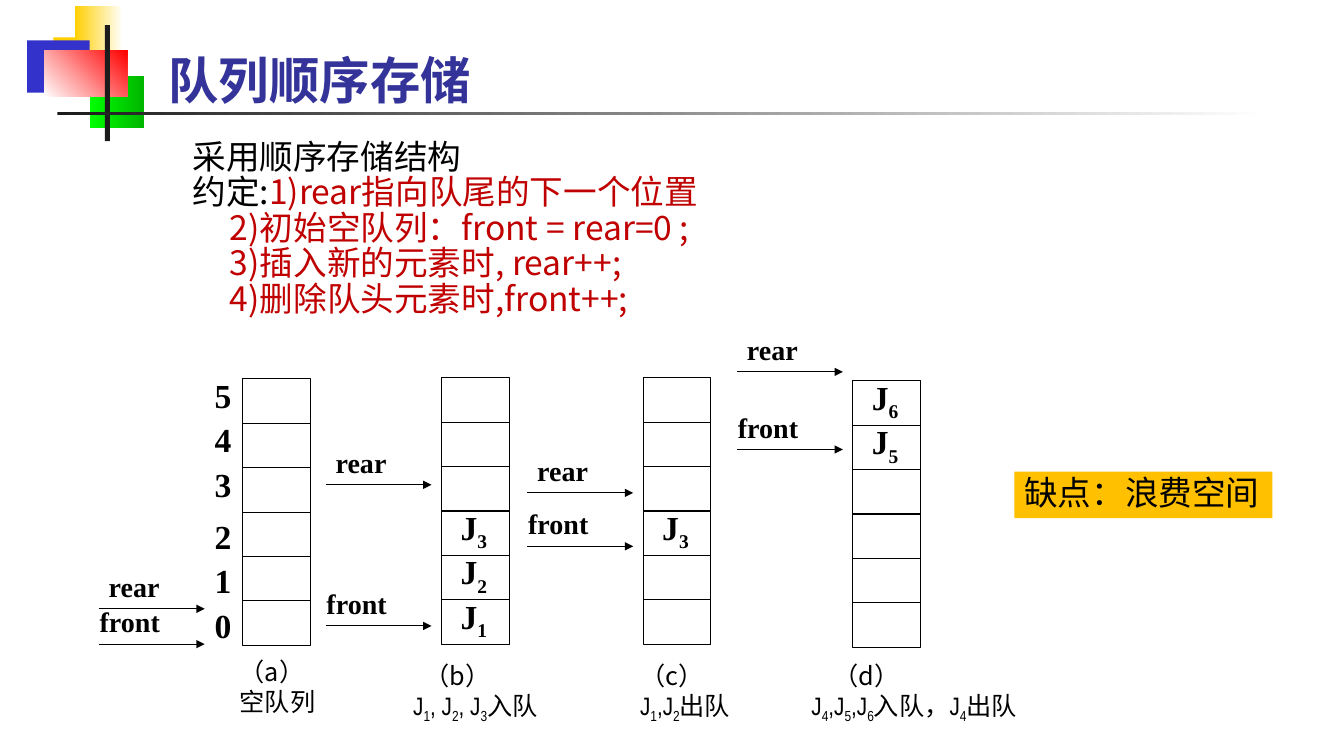
from lxml.etree import SubElement
from pptx import Presentation
from pptx.dml.color import RGBColor
from pptx.enum.shapes import MSO_CONNECTOR as Connector, MSO_SHAPE as Shape
from pptx.enum.text import MSO_ANCHOR as Anchor, MSO_AUTO_SIZE as AutoSize, PP_ALIGN as Align
from pptx.oxml.ns import qn
from pptx.util import Inches, Pt

COLORS = {
    "black": "000000", "white": "FFFFFF", "ink": "1C1C1C", "title": "333399",
    "rule": "C00000", "note": "FFC000", "yellow": "FFCF01", "blue": "3333CC",
    "lime": "00FF00", "green": "00B600", "red": "FF0000",
}
COLORS = {name: RGBColor.from_string(value) for name, value in COLORS.items()}
CJK, SERIF, NARROW = "Noto Sans CJK SC", "Times New Roman", "Arial Narrow"


def write(paragraph, text, size=24, font=CJK, color="black", bold=False, indent=0):
    properties = paragraph._p.get_or_add_pPr()
    properties.set("marL", str(Inches(indent)))
    properties.set("indent", "0")
    if properties.find(qn("a:buNone")) is None:
        SubElement(properties, qn("a:buNone"))
    first, *rest = text.split("_")
    pieces = [(first, False)]
    for part in rest:
        pieces += [(part[0], True), (part[1:], False)]
    for piece, subscript in pieces:
        if not piece:
            continue
        run = paragraph.add_run()
        run.text = piece
        run.font.size = Pt(size)
        run.font.name = font
        run.font.bold = bold
        run.font.color.rgb = COLORS[color]
        run_properties = run._r.get_or_add_rPr()
        SubElement(run_properties, qn("a:ea"), typeface=CJK)
        if subscript:
            run_properties.set("baseline", "-25000")


def add_frame(left, top, width, height):
    box = slide.shapes.add_textbox(Inches(left), Inches(top), Inches(width), Inches(height))
    box.text_frame.word_wrap = True
    return box.text_frame


presentation = Presentation()
presentation.slide_width = Inches(13.33)
presentation.slide_height = Inches(7.5)
slide = presentation.slides.add_slide(presentation.slide_layouts[1])

decorations = [
    (0.53, 0.37, 0.64, 0.52, "yellow", "yellow", 0),
    (0.74, 0.06, 0.48, 0.52, "yellow", "white", 0),
    (0.27, 0.4, 0.62, 0.52, "blue", "blue", 0),
    (0.89, 0.75, 0.54, 0.52, "lime", "green", 0),
    (0.44, 0.5, 0.82, 0.46, "white", "red", 45),
    (1.04, 0.25, 0.05, 1.15, "ink", "ink", 0),
    (0.57, 1.11, 12, 0.03, "ink", "white", 0),
]
for left, top, width, height, start, end, angle in decorations:
    block = slide.shapes.add_shape(
        Shape.RECTANGLE, Inches(left), Inches(top), Inches(width), Inches(height))
    block.shadow.inherit = False
    block.line.fill.background()
    if start == end:
        block.fill.solid()
        block.fill.fore_color.rgb = COLORS[start]
    else:
        block.fill.gradient()
        block.fill.gradient_angle = angle
        for stop, color in zip(block.fill.gradient_stops, (start, end)):
            stop.color.rgb = COLORS[color]

title, body = slide.placeholders
title.left, title.top, title.width, title.height = map(Inches, (1.57, 0.43, 6.65, 0.71))
title.text_frame.auto_size = AutoSize.NONE
title.text_frame.vertical_anchor = Anchor.MIDDLE
heading = title.text_frame.paragraphs[0]
heading.alignment = Align.LEFT
write(heading, "队列顺序存储", size=36, font=NARROW, color="title", bold=True)

body.left, body.top, body.width, body.height = map(Inches, (1.81, 1.35, 8.5, 2.1))
body.text_frame.auto_size = AutoSize.NONE
body.text_frame.vertical_anchor = Anchor.TOP
rules = [
    ("采用顺序存储结构", "", 0),
    ("约定:", "1)rear指向队尾的下一个位置", 0),
    ("", "2)初始空队列：front = rear=0 ;", 0.37),
    ("", "3)插入新的元素时, rear++;", 0.37),
    ("", "4)删除队头元素时,front++;", 0.37),
]
for index, (lead, rule, indent) in enumerate(rules):
    paragraph = body.text_frame.add_paragraph() if index else body.text_frame.paragraphs[0]
    paragraph.alignment = Align.JUSTIFY
    paragraph.line_spacing = 0.88
    paragraph.space_before = Pt(0)
    write(paragraph, lead, indent=indent)
    write(paragraph, rule, color="rule", indent=indent)

CELL_WIDTH, CELL_HEIGHT, SLOTS = 0.67, 0.44, 6
queues = [
    {"left": 2.41, "top": 3.76, "gap": 1.43, "rear": 6.04, "front": 6.39, "items": {},
     "caption": (2.28, 6.46, 0.96, 0), "lines": ("（a）", "空队列"), "font": CJK},
    {"left": 4.38, "top": 3.75, "gap": 1.15, "rear": 4.81, "front": 6.21,
     "items": {3: "J_3", 4: "J_2", 5: "J_1"},
     "caption": (4, 6.5, 1.48, 0.11), "lines": ("（b）", "J_1, J_2, J_3入队"), "font": NARROW},
    {"left": 6.38, "top": 3.75, "gap": 1.15, "rear": 4.89, "front": 5.42, "items": {3: "J_3"},
     "caption": (6.25, 6.5, 1.13, 0), "lines": ("（c）", "J_1,J_2出队"), "font": NARROW},
    {"left": 8.46, "top": 3.78, "gap": 1.15, "rear": 3.69, "front": 4.46,
     "items": {0: "J_6", 1: "J_5"},
     "caption": (7.95, 6.5, 2.36, 0.22), "lines": ("（d）", "J_4,J_5,J_6入队，J_4出队"),
     "font": NARROW},
]
for queue in queues:
    for slot in range(SLOTS):
        cell_top = queue["top"] + slot * CELL_HEIGHT
        cell = slide.shapes.add_shape(
            Shape.RECTANGLE, Inches(queue["left"]), Inches(cell_top),
            Inches(CELL_WIDTH), Inches(CELL_HEIGHT))
        cell.shadow.inherit = False
        cell.fill.background()
        cell.line.color.rgb = COLORS["black"]
        cell.line.width = Pt(0.75)
        if slot in queue["items"]:
            frame = add_frame(queue["left"] + 0.09, cell_top - 0.09, 0.54, 0.51)
            write(frame.paragraphs[0], queue["items"][slot], font=SERIF, bold=True)

    arrow_left = queue["left"] - queue["gap"]
    for pointer, shift, width in (("rear", 0, 1.05), ("front", -0.09, 1.33)):
        level = queue[pointer]
        arrow = slide.shapes.add_connector(
            Connector.STRAIGHT, Inches(arrow_left), Inches(level),
            Inches(arrow_left + 1.05), Inches(level))
        arrow.line.color.rgb = COLORS["black"]
        arrow.line.width = Pt(0.75)
        SubElement(arrow.line._get_or_add_ln(), qn("a:tailEnd"), type="triangle")
        SubElement(arrow._element.spPr, qn("a:effectLst"))
        frame = add_frame(arrow_left + shift, level - 0.44, width, 0.43)
        write(frame.paragraphs[0], pointer, size=20, font=SERIF, bold=True)

    left, top, width, indent = queue["caption"]
    caption = add_frame(left, top, width, 0.71)
    write(caption.paragraphs[0], queue["lines"][0], size=18, indent=indent)
    write(caption.add_paragraph(), queue["lines"][1], size=18, font=queue["font"])

for slot in range(SLOTS):
    drop = 0.08 if slot >= 3 else 0
    frame = add_frame(2.03, 3.67 + slot * CELL_HEIGHT + drop, 0.38, 0.5)
    write(frame.paragraphs[0], str(SLOTS - 1 - slot), font=SERIF, bold=True)

note = slide.shapes.add_shape(
    Shape.RECTANGLE, Inches(10.06), Inches(4.68), Inches(2.56), Inches(0.46))
note.shadow.inherit = False
note.fill.solid()
note.fill.fore_color.rgb = COLORS["note"]
note.line.fill.background()
note.text_frame.word_wrap = False
note.text_frame.vertical_anchor = Anchor.TOP
drawback = note.text_frame.paragraphs[0]
drawback.alignment = Align.JUSTIFY
drawback.line_spacing = 0.9
write(drawback, "缺点：浪费空间")

presentation.save("out.pptx")
